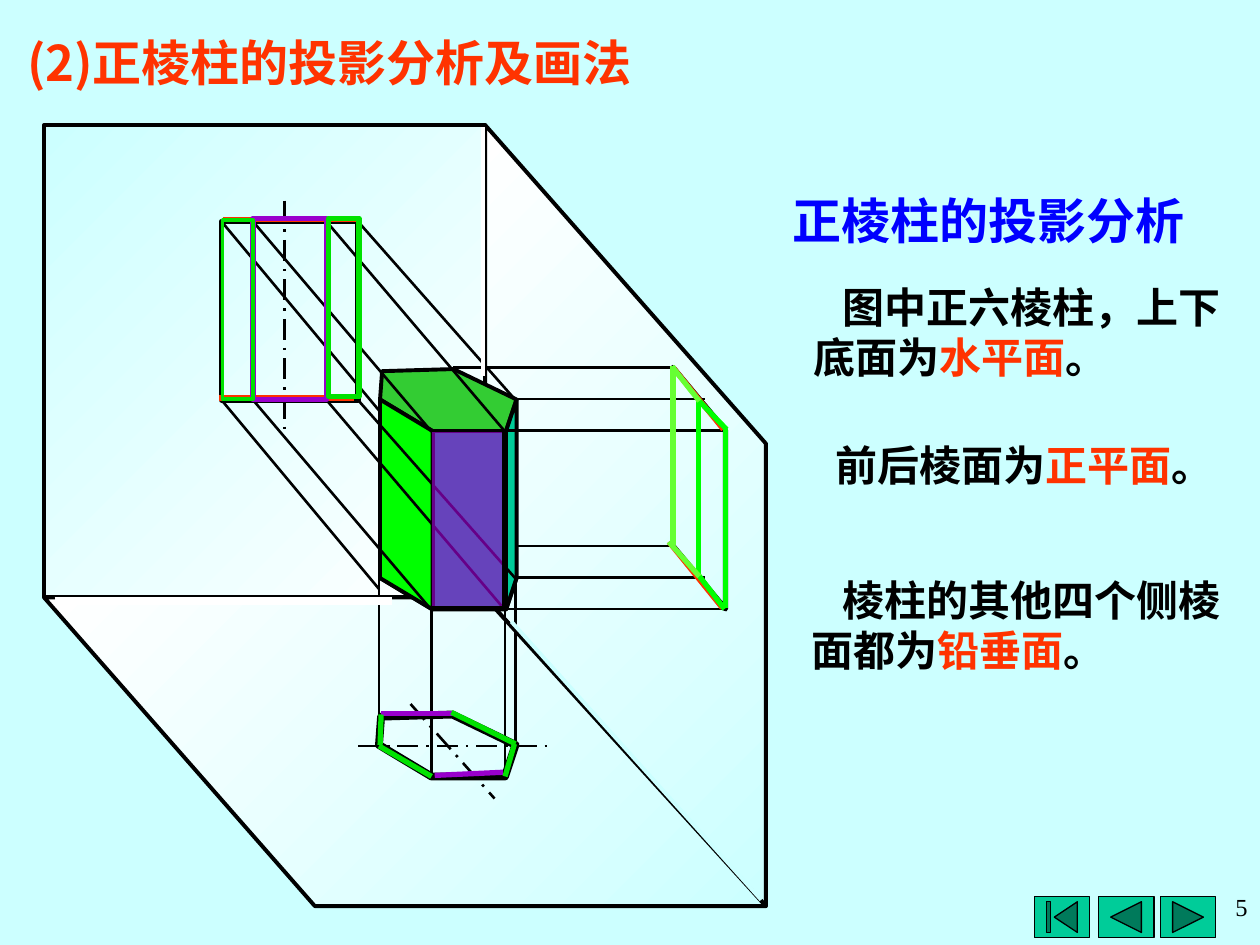
from dataclasses import dataclass

from lxml import etree
from pptx import Presentation
from pptx import util as u
from pptx.dml.color import RGBColor
from pptx.enum import dml, shapes, text
from pptx.oxml.ns import qn

COLUMNS, ROWS = 120, 90
CELL = u.Inches(10) // COLUMNS


@dataclass(frozen=True)
class Theme:
    sky: str = "CCFFFF"
    white: str = "FFFFFF"
    ink: str = "000000"
    red: str = "FF3300"
    blue: str = "0000FF"
    purple: str = "9900CC"
    green: str = "00E200"
    bright: str = "00FF00"
    lime: str = "66FF33"
    top: str = "33CC33"
    teal: str = "00CC99"
    cjk: str = "Noto Sans CJK SC"
    latin: str = "Times New Roman"
    heading: int = 28
    body: int = 24
    number: int = 14
    ray: float = 1.5
    edge: float = 2.25
    view: float = 3
    outline: float = 4.5


@dataclass(frozen=True)
class Box:
    left: float
    top: float
    width: float
    height: float

    def place(self, point):
        return round((self.left + point[0]) * CELL), round((self.top + point[1]) * CELL)

    def frame(self):
        return [round(side * CELL) for side in (self.left, self.top, self.width, self.height)]


THEME = Theme()
HEXAGON = [(0, 2.9), (5, 5.9), (12, 5.9), (13, 2.9), (7, 0), (0.2, 0.2)]
PRISM_HEIGHT = 17


def rgb(color):
    return RGBColor.from_string(color)


def draw_line(page, box, start, end, color=THEME.ink, width=THEME.ray, dash=None):
    line = page.shapes.add_connector(
        shapes.MSO_CONNECTOR.STRAIGHT, *box.place(start), *box.place(end))
    line.line.color.rgb = rgb(color)
    line.line.width = u.Pt(width)
    if dash:
        line.line.dash_style = dash
    etree.SubElement(line._element.spPr, qn("a:effectLst"))


def draw_polygon(page, box, points, fill=None, color=THEME.ink, width=THEME.edge):
    builder = page.shapes.build_freeform(*box.place(points[0]), scale=1.0)
    builder.add_line_segments([box.place(point) for point in points[1:]], close=True)
    shape = builder.convert_to_shape()
    shape.shadow.inherit = False
    shape.line.color.rgb = rgb(color)
    shape.line.width = u.Pt(width)
    if isinstance(fill, tuple):
        shape.fill.gradient()
        shape.fill.gradient_angle = 135
        for stop, tint, position in zip(shape.fill.gradient_stops, fill, (0, 1)):
            stop.color.rgb = rgb(tint)
            stop.position = position
    elif fill:
        shape.fill.solid()
        shape.fill.fore_color.rgb = rgb(fill)
    else:
        shape.fill.background()
    return shape


def rectangle(left, top, width, height):
    right, bottom = left + width, top + height
    return [(left, top), (right, top), (right, bottom), (left, bottom)]


def draw_planes(page, box):
    corner, hinge = (42, 45), (box.width, box.height)
    draw_polygon(page, box, rectangle(0, 0, *corner), (THEME.white, THEME.sky))
    for face in ([(42, 0), (box.width, 30.35), hinge, corner],
                 [hinge, (25.8, box.height), (0, 45), corner]):
        draw_polygon(page, box, face, (THEME.sky, THEME.white))


def draw_prism(page, box):
    base = [(x, y + PRISM_HEIGHT) for x, y in HEXAGON]
    draw_polygon(page, box, base)
    draw_polygon(page, box, HEXAGON, THEME.top)
    for side, fill in enumerate((THEME.bright, THEME.teal, THEME.teal)):
        face = HEXAGON[side:side + 2] + base[side:side + 2][::-1]
        draw_polygon(page, box, face, fill)


def draw_side_view(page, box):
    width, height = box.width, box.height
    for start, end in (((-21, 0), (0, 0)), ((-15, 3), (3, 3)), ((-16, 6), (width, 6))):
        draw_line(page, box, start, end)
    for start, end in (((-15, 17), (0, 17)), ((-15, 20), (3, 20)), ((-16, 23), (width, 23))):
        draw_line(page, box, start, end)
    draw_polygon(page, box, [(0, 0), (0, 17), (width, height), (width, 6)], width=THEME.view)
    for color, segments in (
        (THEME.red, [((0, 0), (4.8, 5.9)), ((-0.4, 16.6), (4.7, 22.9))]),
        (THEME.purple, [((5, 6.2), (5, 22.8)), ((0, 0), (0, 17.1))]),
        (THEME.bright, [((2.4, 3.1), (5.1, 5.9)), ((5, 5.9), (5, 22.9)),
                        ((2.3, 19.6), (4.9, 23)), ((2.4, 3), (2.4, 20))]),
        (THEME.lime, [((0, -0.1), (0, 16.9)), ((-0.1, -0.1), (2.5, 3.2)),
                      ((-0.4, 16.6), (2.5, 19.9))]),
    ):
        for start, end in segments:
            draw_line(page, box, start, end, color, THEME.view)


def draw_front_view(page, box):
    width, height = box.width, box.height
    for x, upper, lower in ((0, (15, 18), (15, 35)), (3, (20, 20), (20, 37)),
                            (10, (27, 20), (27, 37)), (13, (28, 17), (28, 34))):
        draw_line(page, box, (x, 0), upper)
        draw_line(page, box, (x, height), lower)
    draw_polygon(page, box, rectangle(0, 0, width, height), width=THEME.view)
    for x in (3, 10):
        draw_line(page, box, (x, 0), (x, height), width=THEME.view)
    draw_line(page, box, (6, -2), (6, 20), dash=dml.MSO_LINE.LONG_DASH_DOT)
    draw_line(page, box, (0.1, -0.2), (13.1, -0.2), THEME.red, THEME.view)
    draw_line(page, box, (-0.2, 16.8), (12.6, 16.8), THEME.red, THEME.view)
    for face, color, weight in ((rectangle(3, -0.3, 7, 17.25), THEME.purple, THEME.view),
                                (rectangle(0.1, -0.1, 2.9, 17), THEME.green, THEME.edge),
                                (rectangle(10.2, -0.3, 2.9, 17), THEME.green, THEME.view)):
        draw_polygon(page, box, face, color=color, width=weight)


def draw_top_view(page, box):
    for x, start, end in ((0, -13, 3), (5, -10, 6), (12, -11, 6), (13, -13, 3)):
        draw_line(page, box, (x, start), (x, end))
    draw_polygon(page, box, HEXAGON, width=THEME.outline)
    for start, end in (((3, -1), (11, 8)), ((-2, 3), (16, 3))):
        draw_line(page, box, start, end, dash=dml.MSO_LINE.LONG_DASH_DOT)
    for start, end, color in (
        ((5.3, 5.8), (11.8, 5.5), THEME.purple), ((0.2, -0.1), (7, -0.1), THEME.purple),
        ((0.2, 0), (0.1, 2.9), THEME.green), ((0, 3), (5, 5.9), THEME.green),
        ((6.9, -0.2), (13, 2.8), THEME.green), ((12.9, 2.8), (12, 5.9), THEME.green),
    ):
        draw_line(page, box, start, end, color, THEME.view)


def draw_highlight(page, box):
    face = draw_polygon(page, box, rectangle(0, 0, box.width, box.height),
                        THEME.purple, width=0.75)
    color = face._element.spPr.find(qn("a:solidFill"))[0]
    etree.SubElement(color, qn("a:alpha"), val="67000")


def hide_edges(page, box):
    draw_line(page, box, (1, 45.3), (33.1, 45.3), THEME.white, THEME.outline)
    draw_line(page, box, (68.3, 73.8), (44.5, 47.3), THEME.sky, THEME.edge)
    draw_line(page, box, (41.8, 0.2), (41.8, 23.9), THEME.white, THEME.edge)


def write_text(page, box, spans, size, indent=0, font=THEME.cjk, bold=True,
               align=text.PP_ALIGN.LEFT, anchor=text.MSO_ANCHOR.TOP):
    frame = page.shapes.add_textbox(*box.frame()).text_frame
    frame.word_wrap = True
    frame.vertical_anchor = anchor
    para = frame.paragraphs[0]
    para.alignment = align
    para._p.get_or_add_pPr().set("indent", str(round(indent * CELL)))
    para.font.name = font
    para.font.size = u.Pt(size)
    para.font.bold = bold
    etree.SubElement(para._p.pPr.find(qn("a:defRPr")), qn("a:ea"), typeface=font)
    for words, color in spans:
        span = para.add_run()
        span.text = words
        span.font.color.rgb = rgb(color)


def write_notes(page):
    write_text(page, Box(74.3, 17.6, 40, 6.8), [("正棱柱的投影分析", THEME.blue)], THEME.heading)
    for box, indent, lead, plane in (
        (Box(76.3, 26.2, 43.7, 10.8), 2.8, "图中正六棱柱，上下底面为", "水平面"),
        (Box(75.4, 41.3, 44.6, 6), 3, "前后棱面为", "正平面"),
        (Box(76.1, 54.1, 41.6, 10.8), 3, "棱柱的其他四个侧棱面都为", "铅垂面"),
    ):
        spans = [(lead, THEME.ink), (plane, THEME.red), ("。", THEME.ink)]
        write_text(page, box, spans, THEME.body, indent)


def draw_navigation(page, box):
    kinds = shapes.MSO_SHAPE
    for column, kind in ((0, kinds.ACTION_BUTTON_BEGINNING),
                         (6.1, kinds.ACTION_BUTTON_BACK_OR_PREVIOUS),
                         (12, kinds.ACTION_BUTTON_FORWARD_OR_NEXT)):
        cell = Box(box.left + column, box.top, 5.3, box.height)
        button = page.shapes.add_shape(kind, *cell.frame())
        button.shadow.inherit = False
        button.fill.solid()
        button.fill.fore_color.rgb = rgb(THEME.teal)
        button.line.color.rgb = rgb(THEME.ink)
        button.line.width = u.Pt(0.75)


def main():
    deck = Presentation()
    deck.slide_width, deck.slide_height = COLUMNS * CELL, ROWS * CELL
    page = deck.slides.add_slide(deck.slide_layouts[6])
    page.background.fill.solid()
    page.background.fill.fore_color.rgb = rgb(THEME.sky)
    planes = Box(4.2, 11.9, 68.75, 74.4)
    draw_navigation(page, Box(98.5, 85.4, 17.3, 3.9))
    draw_planes(page, planes)
    draw_prism(page, Box(36.2, 35.15, 13, 23))
    draw_side_view(page, Box(64.1, 35, 5, 23))
    draw_front_view(page, Box(21.1, 21.1, 13, PRISM_HEIGHT))
    draw_top_view(page, Box(36.1, 68.05, 13, 6))
    draw_highlight(page, Box(41.1, 41.05, 6.8, 16.7))
    hide_edges(page, planes)
    write_text(page, Box(1.4, 2.5, 66.7, 6.8), [("(2)正棱柱的投影分析及画法", THEME.red)],
               THEME.heading, anchor=text.MSO_ANCHOR.MIDDLE)
    write_notes(page)
    write_text(page, Box(89.8, 84.4, 30.2, 5), [("5", THEME.ink)], THEME.number,
               font=THEME.latin, bold=False, align=text.PP_ALIGN.RIGHT)
    deck.save("out.pptx")


if __name__ == "__main__":
    main()
